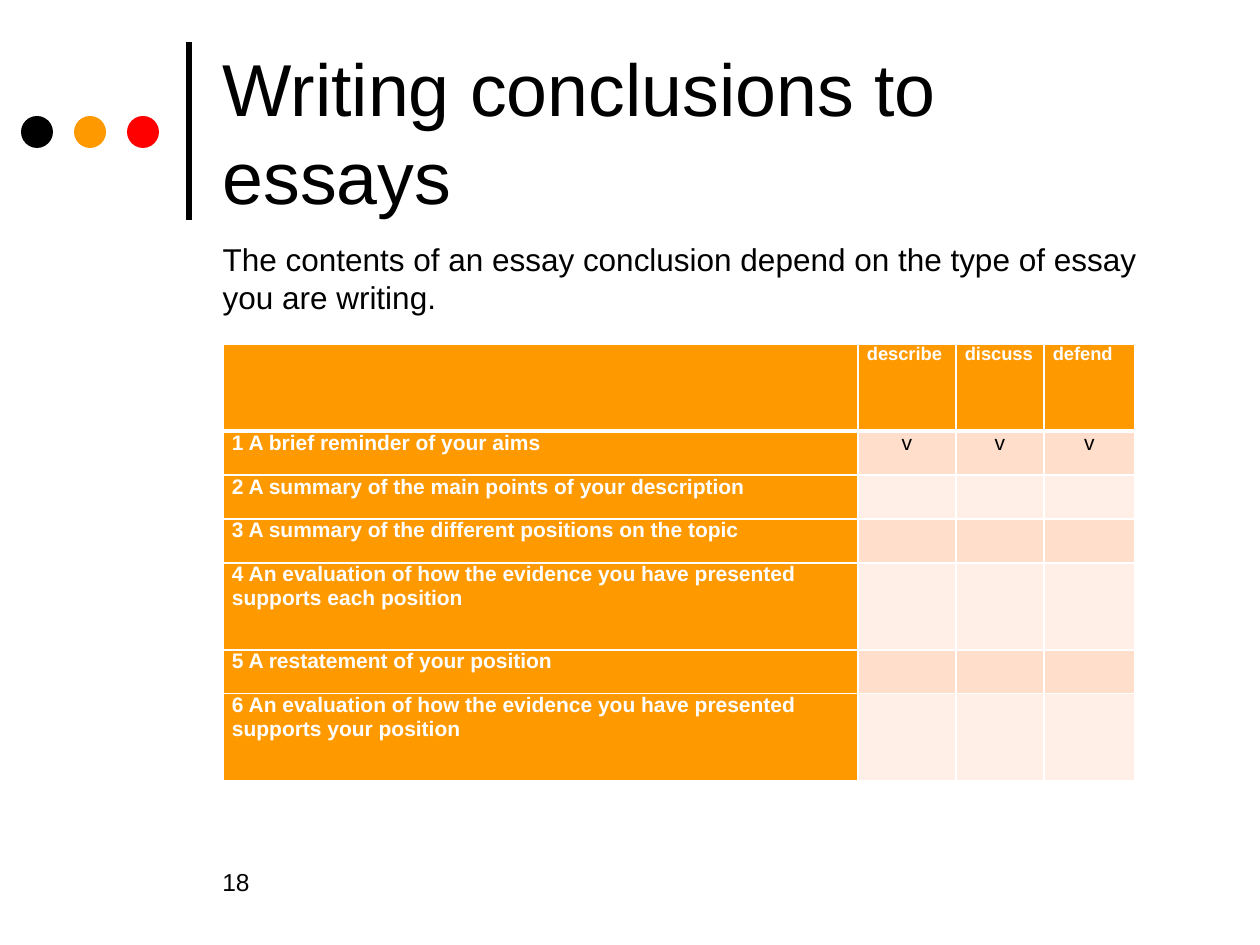
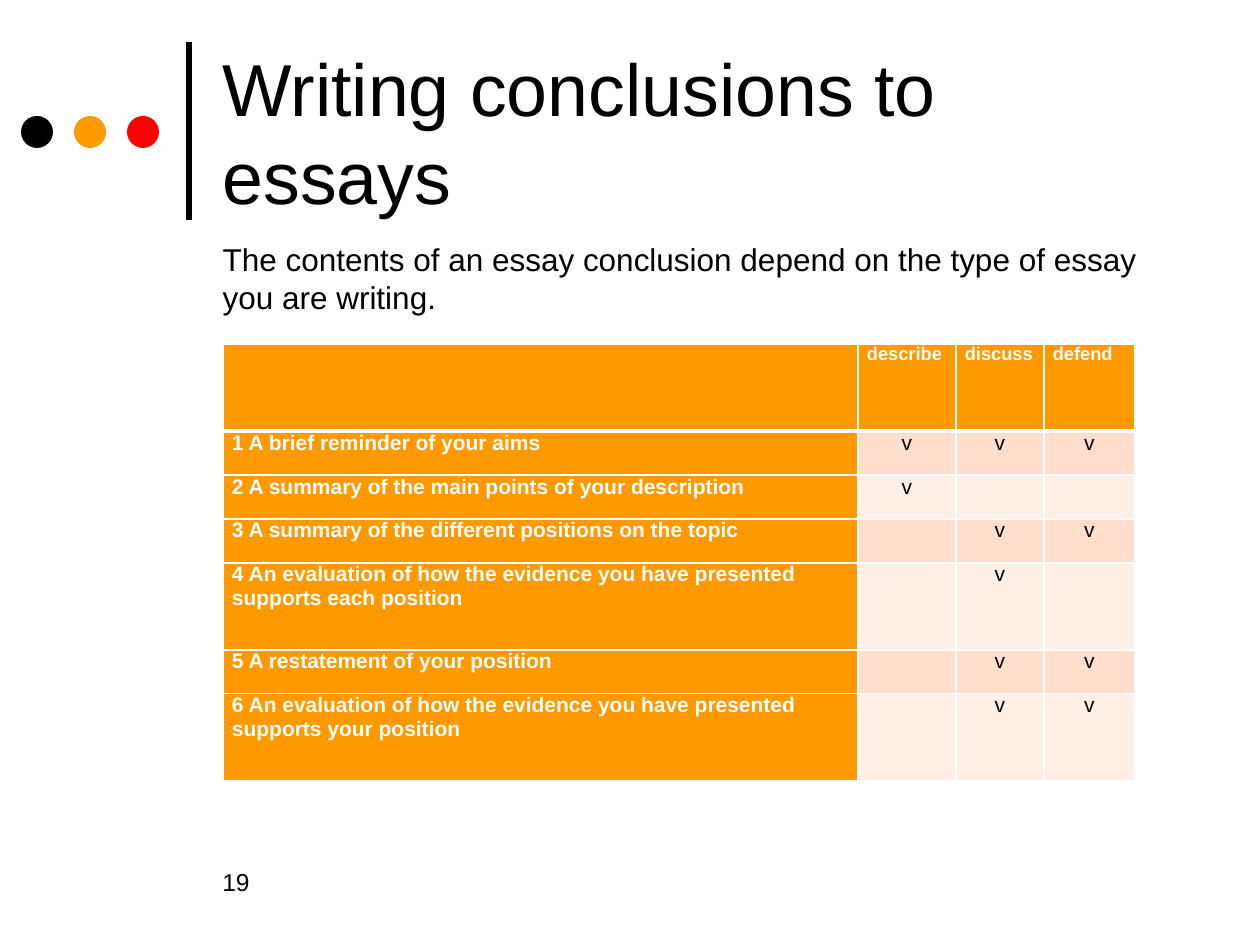
from lxml.etree import SubElement
from pptx import Presentation
from pptx.dml.color import RGBColor
from pptx.enum.shapes import MSO_CONNECTOR as Connector, MSO_SHAPE as Shape
from pptx.enum.text import MSO_ANCHOR as Anchor, MSO_AUTO_SIZE as AutoSize, PP_ALIGN as Align
from pptx.oxml.ns import qn
from pptx.util import Pt

BLACK = RGBColor(0x00, 0x00, 0x00)
WHITE = RGBColor(0xFF, 0xFF, 0xFF)
ORANGE = RGBColor(0xFF, 0x99, 0x00)
RED = RGBColor(0xFF, 0x00, 0x00)
BANDS = (RGBColor(0xFF, 0xDE, 0xCC), RGBColor(0xFF, 0xEF, 0xE7))
FONT = "Arial"

TITLE = "Writing conclusions to essays"
INTRO = "The contents of an essay conclusion depend on the type of essay you are writing."
ESSAY_TYPES = ("describe", "discuss", "defend")
PARTS = (
    "1 A brief reminder of your aims",
    "2 A summary of the main points of your description",
    "3 A summary of the different positions on the topic",
    "4 An evaluation of how the evidence you have presented supports each position",
    "5 A restatement of your position",
    "6 An evaluation of how the evidence you have presented supports your position",
)
# Page number, then the essay types ticked for each part
PAGES = (
    ("18", (ESSAY_TYPES, (), (), (), (), ())),
    ("19", (ESSAY_TYPES, ("describe",), ("discuss", "defend"), ("discuss",),
            ("discuss", "defend"), ("discuss", "defend"))),
)

# Lengths in pixels, 126 to the inch
PIXEL = 914400 / 126
SLIDE_SIZE = (1260, 945)
TITLE_BOX = (210, 26, 966, 210)
INTRO_BOX = (210, 234, 966, 595)
NUMBER_BOX = (210, 861, 179, 63)
RULE_X, RULE_TOP, RULE_BOTTOM = 189, 42, 220
DOT_LEFT, DOT_TOP, DOT_SIZE, DOT_STEP = 21, 116, 32, 53
TABLE_LEFT, TABLE_TOP = 223, 344
COLUMN_WIDTHS = (635, 98, 88, 91)
SHORT_ROW, TALL_ROW = 44, 87
ONE_LINE_LIMIT = 60
CELL_MARGIN = 9


def px(length):
    """Turn pixels into EMU."""
    return round(length * PIXEL)


def place(shape, box):
    """Move a shape to a pixel box."""
    shape.left, shape.top, shape.width, shape.height = map(px, box)


def write(frame, text, size, color=BLACK, bold=False, align=Align.LEFT):
    """Write one formatted run into the first paragraph and return the paragraph."""
    paragraph = frame.paragraphs[0]
    paragraph.alignment = align
    run = paragraph.add_run()
    run.text = text
    run.font.name, run.font.size, run.font.bold = FONT, Pt(size), bold
    run.font.color.rgb = color
    return paragraph


def fit_frame(frame, anchor):
    """Wrap the text at its own size, anchored as given."""
    frame.word_wrap = True
    frame.auto_size = AutoSize.NONE
    frame.vertical_anchor = anchor


def add_ornament(slide):
    """Draw the vertical rule and the three dots beside the title."""
    rule = slide.shapes.add_connector(
        Connector.STRAIGHT, px(RULE_X), px(RULE_BOTTOM), px(RULE_X), px(RULE_TOP))
    rule.line.color.rgb, rule.line.width = BLACK, Pt(3)
    SubElement(rule.line._get_or_add_ln().getparent(), qn("a:effectLst"))
    for index, color in enumerate((BLACK, ORANGE, RED)):
        dot = slide.shapes.add_shape(
            Shape.OVAL, px(DOT_LEFT + index * DOT_STEP), px(DOT_TOP), px(DOT_SIZE), px(DOT_SIZE))
        dot.shadow.inherit = False
        dot.fill.solid()
        dot.fill.fore_color.rgb = color
        dot.line.fill.background()


def add_text(slide, number):
    """Fill the title, the introduction and the page number."""
    title, intro = slide.placeholders
    place(title, TITLE_BOX)
    fit_frame(title.text_frame, Anchor.MIDDLE)
    write(title.text_frame, TITLE, 42)

    place(intro, INTRO_BOX)
    fit_frame(intro.text_frame, Anchor.TOP)
    paragraph = write(intro.text_frame, INTRO, 18)
    paragraph.space_before = Pt(3.6)
    properties = paragraph._p.get_or_add_pPr()
    properties.set("marL", "0")
    properties.set("indent", "0")
    SubElement(properties, qn("a:buNone"))

    page = slide.shapes.add_textbox(*map(px, NUMBER_BOX))
    fit_frame(page.text_frame, Anchor.TOP)
    write(page.text_frame, number, 14)


def style_cell(cell, color, top=1, bottom=1):
    """Give a cell white borders, a fill and tight margins."""
    properties = cell._tc.get_or_add_tcPr()
    for side, width in (("L", 1), ("R", 1), ("T", top), ("B", bottom)):
        border = SubElement(properties, qn("a:ln" + side), w=str(Pt(width)))
        SubElement(SubElement(border, qn("a:solidFill")), qn("a:srgbClr"), val=str(WHITE))
    cell.fill.solid()
    cell.fill.fore_color.rgb = color
    cell.margin_left = cell.margin_right = px(CELL_MARGIN)
    cell.margin_top = cell.margin_bottom = 0


def add_checklist(slide, ticks):
    """Build the table of conclusion parts against essay types."""
    heights = [TALL_ROW] + [TALL_ROW if len(part) > ONE_LINE_LIMIT else SHORT_ROW for part in PARTS]
    table = slide.shapes.add_table(
        len(heights), len(COLUMN_WIDTHS), px(TABLE_LEFT), px(TABLE_TOP),
        px(sum(COLUMN_WIDTHS)), px(sum(heights))).table
    for column, width in zip(table.columns, COLUMN_WIDTHS):
        column.width = px(width)
    for row, height in zip(table.rows, heights):
        row.height = px(height)

    style_cell(table.cell(0, 0), ORANGE, bottom=3)
    for column, essay_type in enumerate(ESSAY_TYPES, 1):
        heading = table.cell(0, column)
        style_cell(heading, ORANGE, bottom=3)
        write(heading.text_frame, essay_type, 10.5, WHITE, bold=True)

    for row, (part, ticked) in enumerate(zip(PARTS, ticks), 1):
        top = 3 if row == 1 else 1
        label = table.cell(row, 0)
        style_cell(label, ORANGE, top)
        write(label.text_frame, part, 12, WHITE, bold=True)
        for column, essay_type in enumerate(ESSAY_TYPES, 1):
            mark = table.cell(row, column)
            style_cell(mark, BANDS[(row - 1) % 2], top)
            if essay_type in ticked:
                write(mark.text_frame, "v", 12, align=Align.CENTER)


def main():
    """Build and save the slides."""
    deck = Presentation()
    deck.slide_width, deck.slide_height = map(px, SLIDE_SIZE)
    for number, ticks in PAGES:
        slide = deck.slides.add_slide(deck.slide_layouts[1])
        add_ornament(slide)
        add_text(slide, number)
        add_checklist(slide, ticks)
    deck.save("out.pptx")


main()
